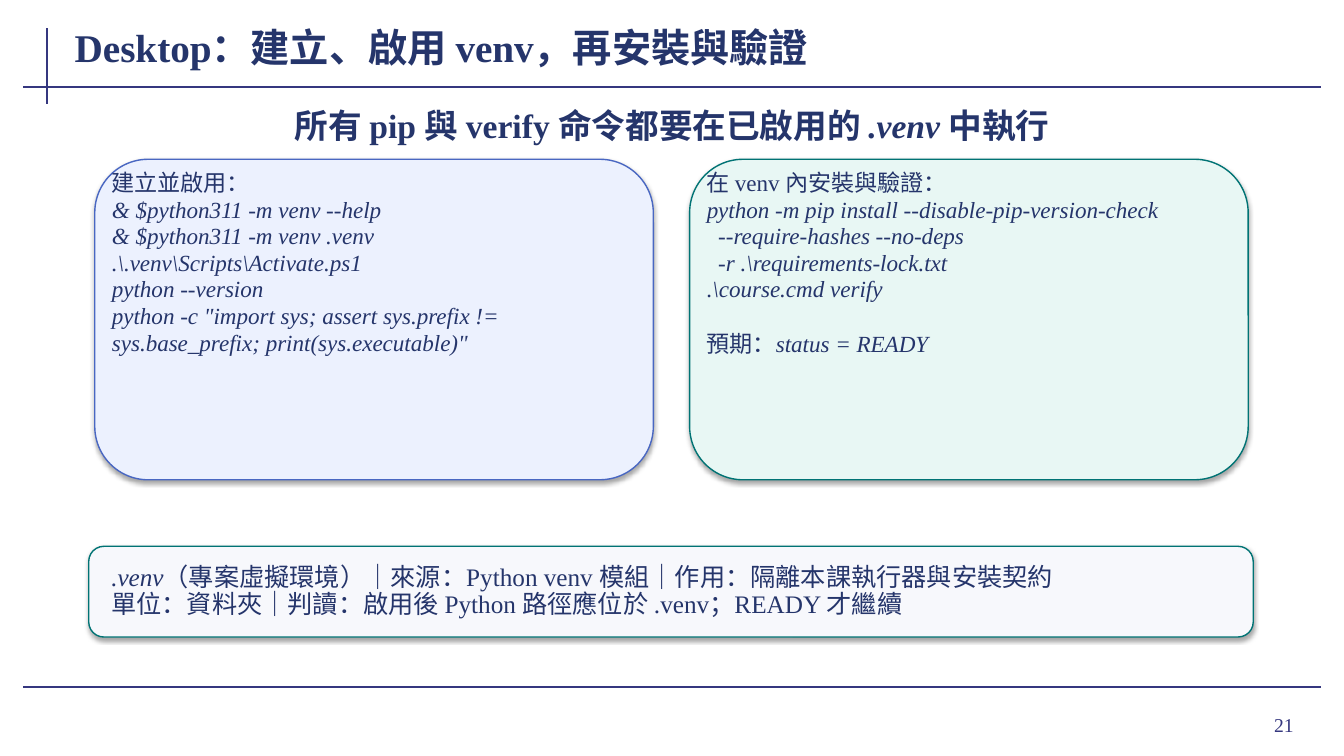
from dataclasses import dataclass
from typing import Any, NamedTuple

from lxml.etree import SubElement
from pptx import Presentation
from pptx.dml.color import RGBColor
from pptx.enum.shapes import MSO_CONNECTOR as Connector, MSO_SHAPE as Preset
from pptx.enum.text import MSO_ANCHOR as Anchor, PP_ALIGN as Align
from pptx.oxml.ns import qn
from pptx.util import Emu, Pt

PX = 9144
SERIF = "Times New Roman"
NAVY, RULE, BLUE, TEAL = "25356B", "35377F", "4967C2", "007374"


class Run(NamedTuple):
    text: str
    italic: bool = False


class Box(NamedTuple):
    left: int
    top: int
    width: int
    height: int


class Rule(NamedTuple):
    x1: int
    y1: int
    x2: int
    y2: int


Lines = list[list[Run]]


@dataclass
class Style:
    size: float
    color: str = NAVY
    bold: bool = False
    align: Any = Align.LEFT
    anchor: Any = Anchor.MIDDLE
    inset: tuple[int, int] = (2, 1)
    spacing: float = 1.0


@dataclass
class Panel:
    box: Box
    fill: str
    line: str


@dataclass
class Text:
    box: Box
    style: Style
    lines: Lines
    gap_before_last: float = 0


def px(length: int) -> Emu:
    return Emu(length * PX)


def rgb(code: str) -> RGBColor:
    return RGBColor.from_string(code)


def apply(target: Any, values: dict[str, Any]) -> None:
    for key, value in values.items():
        setattr(target, key, value)


def code(*commands: str) -> Lines:
    return [[Run(command, True)] for command in commands]


def draw_rule(slide: Any, rule: Rule) -> None:
    line = slide.shapes.add_connector(Connector.STRAIGHT, *map(px, rule))
    line.line.color.rgb = rgb(RULE)
    line.line.width = Pt(1.5)
    SubElement(line._element.spPr, qn("a:effectLst"))


def add_soft_shadow(shape: Any) -> None:
    shape.shadow.inherit = False
    effects = shape._element.spPr.find(qn("a:effectLst"))
    shadow = SubElement(effects, qn("a:outerShdw"), blurRad=str(Pt(3.1)),
                        dist=str(Pt(1.8)), dir="5400000", rotWithShape="0")
    tint = SubElement(shadow, qn("a:srgbClr"), val="000000")
    SubElement(tint, qn("a:alpha"), val="35000")


def draw_panel(slide: Any, panel: Panel) -> Any:
    shape = slide.shapes.add_shape(Preset.ROUNDED_RECTANGLE, *map(px, panel.box))
    shape.fill.solid()
    shape.fill.fore_color.rgb = rgb(panel.fill)
    shape.line.color.rgb = rgb(panel.line)
    shape.line.width = Pt(1)
    add_soft_shadow(shape)
    return shape


def write(shape: Any, style: Style, lines: Lines, gap_before_last: float = 0) -> None:
    frame = shape.text_frame
    side, edge = map(px, style.inset)
    apply(frame, {"word_wrap": True, "vertical_anchor": style.anchor,
                  "margin_left": side, "margin_right": side,
                  "margin_top": edge, "margin_bottom": edge})
    for index, line in enumerate(lines):
        paragraph = frame.add_paragraph() if index else frame.paragraphs[0]
        apply(paragraph, {"alignment": style.align, "line_spacing": style.spacing})
        if gap_before_last and index == len(lines) - 1:
            paragraph.space_before = Pt(gap_before_last)
        for part in line:
            run = paragraph.add_run()
            run.text = part.text
            apply(run.font, {"name": SERIF, "size": Pt(style.size),
                             "bold": style.bold, "italic": part.italic})
            run.font.color.rgb = rgb(style.color)


def draw_text(slide: Any, text: Text) -> None:
    shape = slide.shapes.add_textbox(*map(px, text.box))
    write(shape, text.style, text.lines, text.gap_before_last)


RULES = [Rule(47, 28, 47, 103), Rule(23, 86, 1310, 86), Rule(23, 682, 1310, 682)]
CARD_LEFTS = (94, 684)
CARDS = [Panel(Box(left, 158, 554, 318), fill, line)
         for left, fill, line in zip(CARD_LEFTS, ("ECF1FE", "E8F7F4"), (BLUE, TEAL))]
COMMAND_BOXES = [Box(left + 16, 168, 522, 298) for left in CARD_LEFTS]
COMMANDS = Style(16.5, anchor=Anchor.TOP, inset=(1, 1), spacing=0.96)

TEXTS = [
    Text(Box(1196, 693, 97, 52), Style(14, RULE, align=Align.RIGHT, inset=(10, 5)),
         [[Run("21")]]),
    Text(Box(72, 20, 1035, 53), Style(28, bold=True, inset=(2, 0)),
         [[Run("Desktop：建立、啟用 venv，再安裝與驗證")]]),
    Text(Box(94, 98, 1145, 52), Style(24, bold=True, align=Align.CENTER),
         [[Run("所有 pip 與 verify 命令都要在已啟用的 "), Run(".venv", True),
           Run(" 中執行")]]),
    Text(COMMAND_BOXES[0], COMMANDS, [[Run("建立並啟用：")]] + code(
        "& $python311 -m venv --help",
        "& $python311 -m venv .venv",
        ".\\.venv\\Scripts\\Activate.ps1",
        "python --version",
        'python -c "import sys; assert sys.prefix != '
        'sys.base_prefix; print(sys.executable)"')),
    Text(COMMAND_BOXES[1], COMMANDS, [[Run("在 venv 內安裝與驗證：")]] + code(
        "python -m pip install --disable-pip-version-check",
        "  --require-hashes --no-deps",
        "  -r .\\requirements-lock.txt",
        ".\\course.cmd verify") + [[Run("預期："), Run("status = READY", True)]],
        gap_before_last=20),
]

SUMMARY = Panel(Box(88, 542, 1155, 90), "F7F8FC", TEAL)
SUMMARY_LINES = [
    [Run(".venv", True),
     Run("（專案虛擬環境）｜來源：Python venv 模組｜作用：隔離本課執行器與安裝契約")],
    [Run("單位：資料夾｜判讀：啟用後 Python 路徑應位於 .venv；READY 才繼續")],
]


def main() -> None:
    """Build the virtual environment slide and save it."""
    deck = Presentation()
    apply(deck, {"slide_width": px(1333), "slide_height": px(750)})
    slide = deck.slides.add_slide(deck.slide_layouts[6])
    for rule in RULES:
        draw_rule(slide, rule)
    for card in CARDS:
        draw_panel(slide, card)
    for text in TEXTS:
        draw_text(slide, text)
    write(draw_panel(slide, SUMMARY), Style(18, inset=(18, 3), spacing=0.9),
          SUMMARY_LINES)
    deck.save("out.pptx")


if __name__ == "__main__":
    main()
